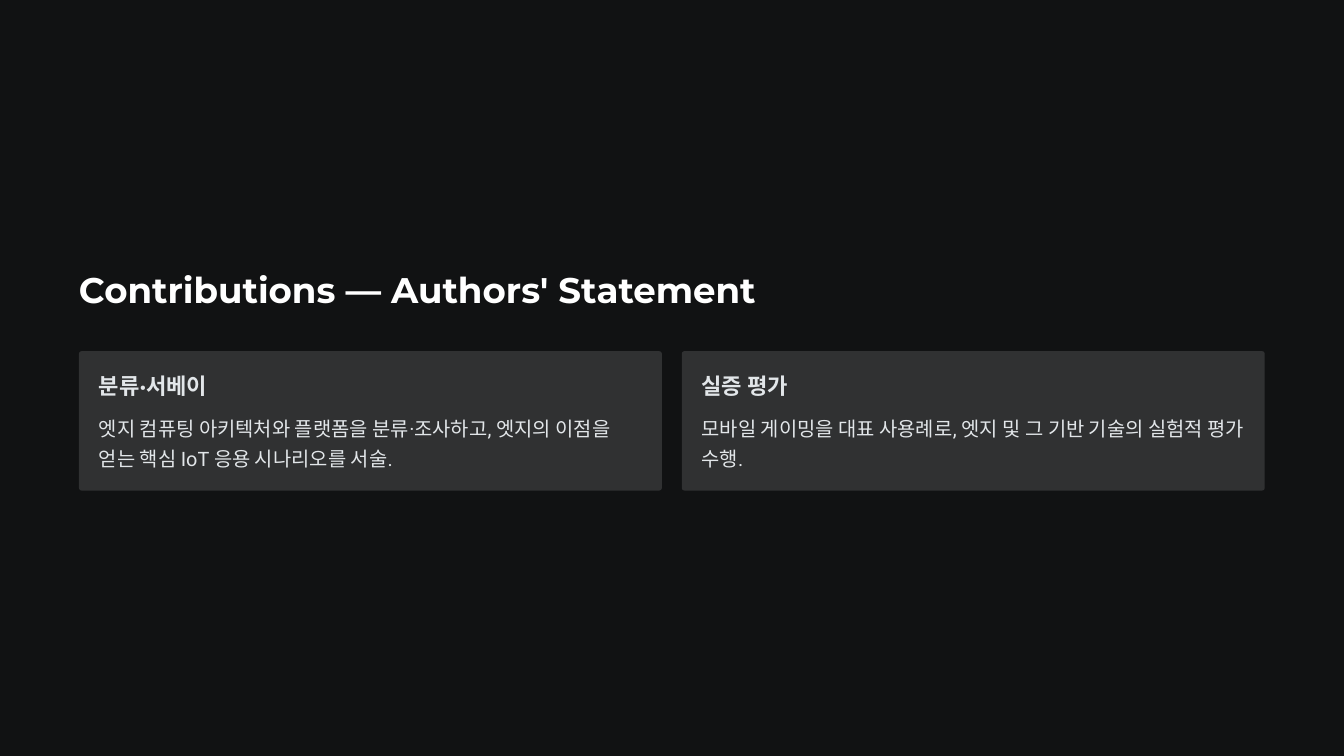
"""Build the slide on the authors' contributions."""
import pptx
import pptx.util
import pptx.dml.color
import pptx.enum.shapes

Pt = pptx.util.Pt

COLORS = {"background": "111213", "card": "303132", "title": "FFFFFF", "body": "E2E6E9"}
CONTRIBUTIONS = [
    ("분류·서베이", "엣지 컴퓨팅 아키텍처와 플랫폼을 분류·조사하고, 엣지의 이점을 얻는 핵심 IoT 응용 시나리오를 서술."),
    ("실증 평가", "모바일 게이밍을 대표 사용례로, 엣지 및 그 기반 기술의 실험적 평가 수행."),
]
MARGIN = 67.7
CARD_TOP = 301
CARD_WIDTH = 499.7
CARD_HEIGHT = 119.5
CARD_GAP = 17
PADDING = 17


class StatementSlide:
    def __init__(self, slide):
        self.slide = slide

    def color(self, name):
        return pptx.dml.color.RGBColor.from_string(COLORS[name])

    def background(self):
        fill = self.slide.background.fill
        fill.solid()
        fill.fore_color.rgb = self.color("background")

    def panel(self, left, top, width, height):
        panel = self.slide.shapes.add_shape(
            pptx.enum.shapes.MSO_SHAPE.ROUNDED_RECTANGLE,
            Pt(left), Pt(top), Pt(width), Pt(height))
        panel.adjustments[0] = 0.02
        panel.shadow.inherit = False
        panel.fill.solid()
        panel.fill.fore_color.rgb = self.color("card")
        panel.line.fill.background()

    def text(self, words, left, top, width, height, size, leading,
             font="Montserrat", color="body", bold=True, wrap=False):
        frame = self.slide.shapes.add_textbox(
            Pt(left), Pt(top), Pt(width), Pt(height)).text_frame
        frame.margin_left = frame.margin_right = 0
        frame.margin_top = frame.margin_bottom = 0
        frame.word_wrap = wrap
        frame.text = words
        paragraph = frame.paragraphs[0]
        paragraph.line_spacing = Pt(leading)
        for run in paragraph.runs:
            run.font.name = font
            run.font.size = Pt(size)
            run.font.bold = bold
            run.font.color.rgb = self.color(color)

    def card(self, left, heading, summary):
        self.panel(left, CARD_TOP, CARD_WIDTH, CARD_HEIGHT)
        inner = left + PADDING
        self.text(heading, inner, CARD_TOP + PADDING, 193, 24.5, 19, 24)
        self.text(summary, inner, CARD_TOP + 51, CARD_WIDTH - 2 * PADDING, 51, 17, 25.5,
                  font="Roboto", bold=False, wrap=True)


def main():
    deck = pptx.Presentation()
    deck.slide_width, deck.slide_height = Pt(1152), Pt(648)
    statement = StatementSlide(deck.slides.add_slide(deck.slide_layouts[6]))
    statement.background()
    statement.text("Contributions — Authors' Statement", MARGIN, 228.2, 587.5, 39,
                   30.5, 38.5, color="title")
    for column, (heading, summary) in enumerate(CONTRIBUTIONS):
        statement.card(MARGIN + column * (CARD_WIDTH + CARD_GAP), heading, summary)
    deck.save("out.pptx")


if __name__ == "__main__":
    main()
